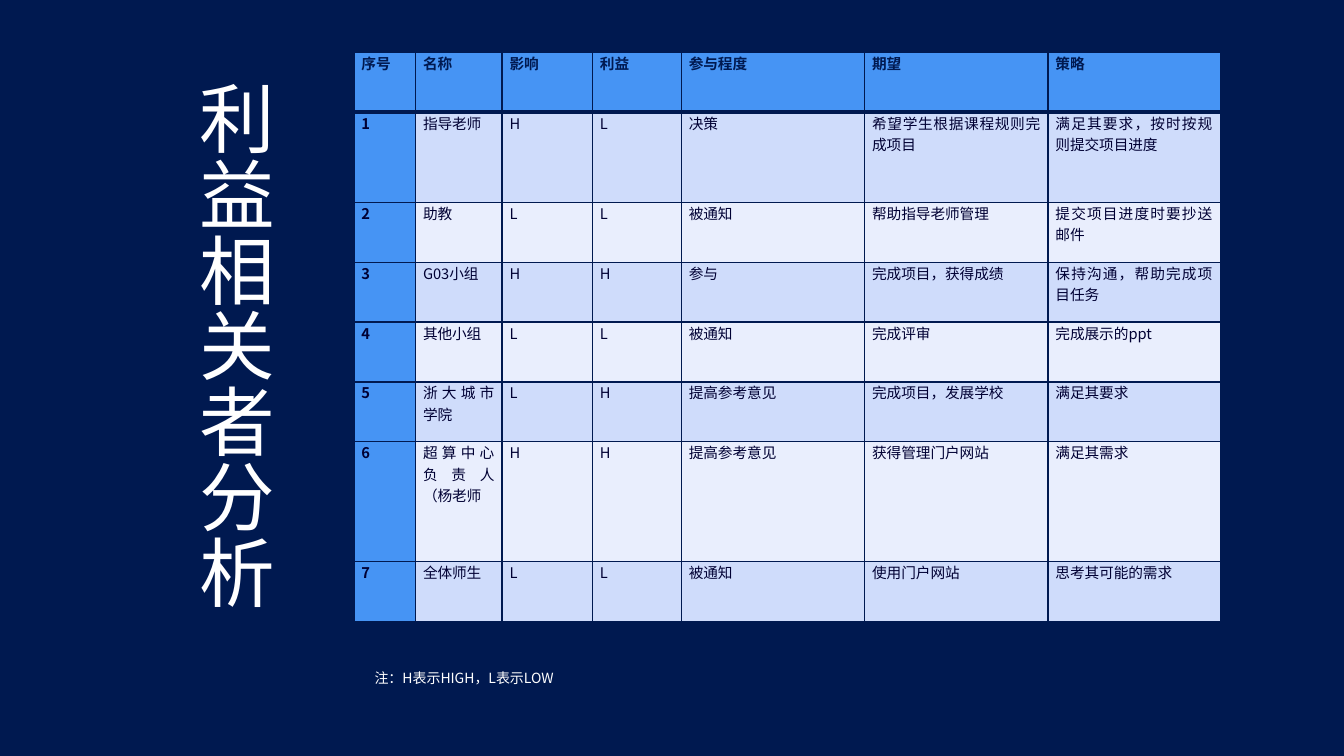
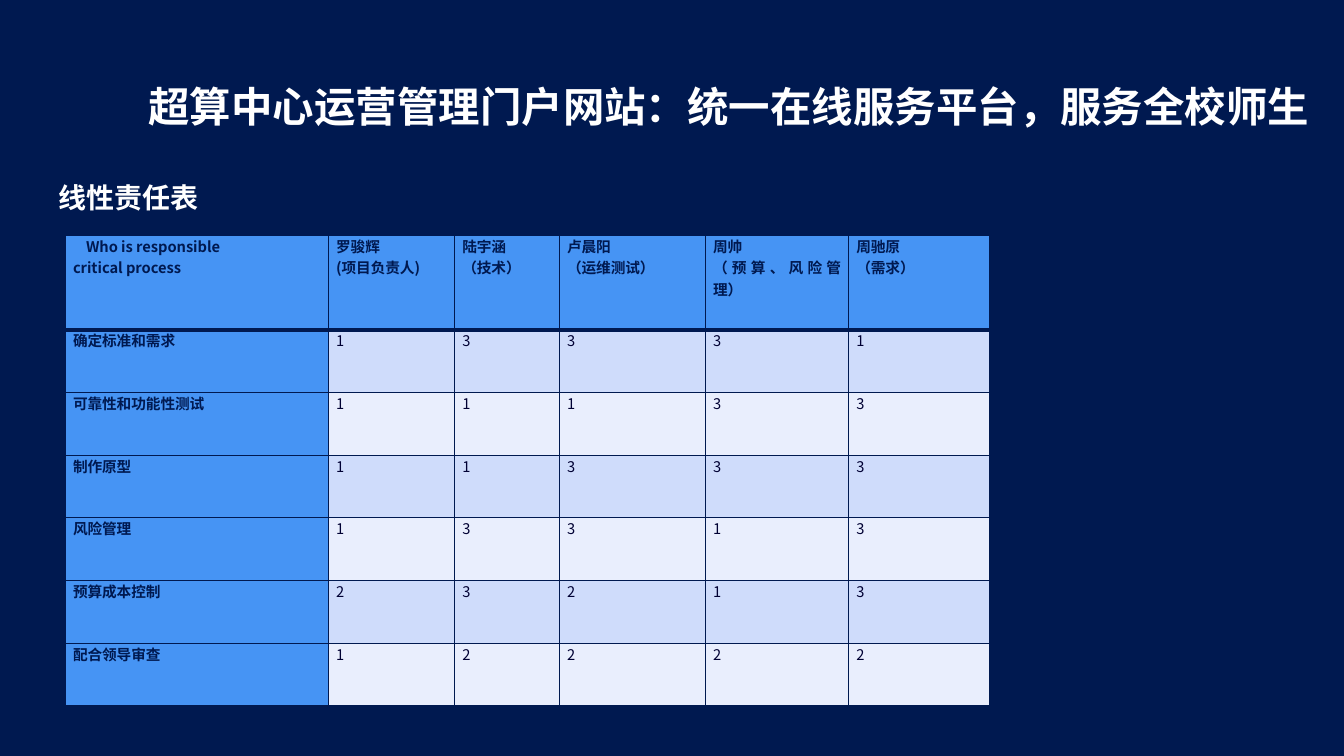
from dataclasses import dataclass

from lxml import etree
from pptx import Presentation
from pptx.dml.color import RGBColor
from pptx.enum import text
from pptx.oxml import ns
from pptx.util import Cm, Pt


@dataclass(frozen=True)
class Theme:
    face: str = "Noto Sans CJK SC"
    navy: str = "001950"
    ink: str = "000033"
    white: str = "FFFFFF"
    blue: str = "4694F4"
    bands: tuple = ("CFDCFB", "E9EEFD")
    tall: float = 54
    title: float = 29.6
    sub: float = 20
    cell: float = 10.5
    note: float = 10
    thin: float = 1
    thick: float = 3


T = Theme()


def style(frame, size, color, bold=False, align=None):
    """Give every paragraph of a text frame the same font and alignment."""
    for para in frame.paragraphs:
        para.alignment = align
        font = para.font
        font.name, font.size, font.bold = T.face, Pt(size), bold
        font.color.rgb = RGBColor.from_string(color)
        east = etree.SubElement(para._p.pPr.find(ns.qn("a:defRPr")), ns.qn("a:ea"))
        east.set("typeface", T.face)


def edge(cell, **widths):
    """Draw the cell borders, given in the order lnL, lnR, lnT, lnB."""
    props = cell._tc.get_or_add_tcPr()
    for tag, width in widths.items():
        line = etree.SubElement(props, ns.qn("a:" + tag), w=str(Pt(width)))
        fill = etree.SubElement(line, ns.qn("a:solidFill"))
        etree.SubElement(fill, ns.qn("a:srgbClr"), val=T.navy)


prs = Presentation()
prs.slide_width, prs.slide_height = Cm(33.87), Cm(19.05)
back = prs.slide_master.background.fill
back.solid()
back.fore_color.rgb = RGBColor.from_string(T.navy)

A, V, J = text.PP_ALIGN, text.MSO_ANCHOR, text.PP_ALIGN.JUSTIFY

# Each page: text boxes (words, place, size, bold, align, anchor, wrap, spacing, upright)
# and one table (place, column widths, row unit, row units, label colour, rows).
pages = [
    dict(
        boxes=[
            ("注：H表示HIGH，L表示LOW", (9.19, 16.46, 33.87, 1.27), T.note,
             False, A.LEFT, V.MIDDLE, False, None, False),
            ("利益相关者分析", (4.37, 1.8, 2.82, 15.93), T.tall,
             False, A.LEFT, V.TOP, True, None, True),
        ],
        at=(8.92, 1.32),
        cols=(1.55, 2.18, 2.28, 2.24, 4.62, 4.62, 4.34),
        unit=1.51,
        spans=(1, 1.5, 1, 1, 1, 1, 2, 1),
        label=T.ink,
        rows=[
            ("序号", "名称", "影响", "利益", "参与程度", "期望", "策略"),
            ("1", "指导老师", "H", "L", "决策", "希望学生根据课程规则完成项目",
             "满足其要求，按时按规则提交项目进度"),
            ("2", "助教", "L", "L", "被通知", "帮助指导老师管理",
             "提交项目进度时要抄送邮件"),
            ("3", "G03小组", "H", "H", "参与", "完成项目，获得成绩",
             "保持沟通，帮助完成项目任务"),
            ("4", "其他小组", "L", "L", "被通知", "完成评审", "完成展示的ppt"),
            ("5", "浙大城市学院", "L", "H", "提高参考意见", "完成项目，发展学校",
             "满足其要求"),
            ("6", "超算中心负责人（杨老师", "H", "H", "提高参考意见",
             "获得管理门户网站", "满足其需求"),
            ("7", "全体师生", "L", "L", "被通知", "使用门户网站", "思考其可能的需求"),
        ],
    ),
    dict(
        boxes=[
            ("超算中心运营管理门户网站：统一在线服务平台，服务全校师生",
             (1.22, 0.64, 32.05, 2.79), T.title,
             True, A.RIGHT, V.BOTTOM, True, 1.2, False),
            ("线性责任表", (1.22, 3.96, 31.6, 1.45), T.sub,
             True, J, V.TOP, True, 1.56, False),
        ],
        at=(1.65, 5.94),
        cols=(6.63, 3.18, 2.64, 3.68, 3.61, 3.56),
        unit=1.58,
        spans=(1.5, 1, 1, 1, 1, 1, 1),
        label=T.navy,
        rows=[
            ("Who is responsible\ncritical process", "罗骏辉\n(项目负责人)",
             "陆宇涵\n（技术）", "卢晨阳\n（运维测试）",
             "周帅\n（预算、风险管理）", "周驰原\n（需求）"),
            ("确定标准和需求", *"13331"),
            ("可靠性和功能性测试", *"11133"),
            ("制作原型", *"11333"),
            ("风险管理", *"13313"),
            ("预算成本控制", *"23213"),
            ("配合领导审查", *"12222"),
        ],
    ),
]

for page in pages:
    slide = prs.slides.add_slide(prs.slide_layouts[6])

    for words, place, size, bold, align, anchor, wrap, gap, upright in page["boxes"]:
        frame = slide.shapes.add_textbox(*map(Cm, place)).text_frame
        frame.text = words
        frame.word_wrap, frame.vertical_anchor = wrap, anchor
        if anchor != V.BOTTOM:
            frame.auto_size = text.MSO_AUTO_SIZE.SHAPE_TO_FIT_TEXT
        if gap:
            frame.paragraphs[0].line_spacing = gap
        if upright:
            frame._txBody.bodyPr.set("vert", "eaVert")
        style(frame, size, T.white, bold, align)

    rows, cols = page["rows"], page["cols"]
    highs = [page["unit"] * span for span in page["spans"]]
    grid = slide.shapes.add_table(
        len(rows), len(cols), *map(Cm, (*page["at"], sum(cols), sum(highs)))).table
    grid.first_row = grid.horz_banding = False
    for col, wide in zip(grid.columns, cols):
        col.width = Cm(wide)
    for row, high in zip(grid.rows, highs):
        row.height = Cm(high)

    for i, row in enumerate(rows):
        for j, words in enumerate(row):
            cell = grid.cell(i, j)
            cell.text = words
            cell.margin_left = cell.margin_right = Cm(0.19)
            cell.margin_top = cell.margin_bottom = 0
            edge(cell, lnL=T.thin, lnR=T.thin,
                 lnT=T.thick if i == 1 else T.thin,
                 lnB=T.thick if i == 0 else T.thin)
            head, side = i == 0, j == 0
            cell.fill.solid()
            cell.fill.fore_color.rgb = RGBColor.from_string(
                T.blue if head or side else T.bands[(i - 1) % 2])
            color = T.navy if head else page["label"] if side else T.ink
            style(cell.text_frame, T.cell, color, head or side, J)

    # A two-line corner heading hangs, with its first line set in a little.
    corner = grid.cell(0, 0).text_frame.paragraphs
    if len(corner) > 1:
        for para, indent in zip(corner, (-1.52, -1.85)):
            para._p.pPr.set("marL", str(Cm(1.85)))
            para._p.pPr.set("indent", str(Cm(indent)))

prs.save("out.pptx")
